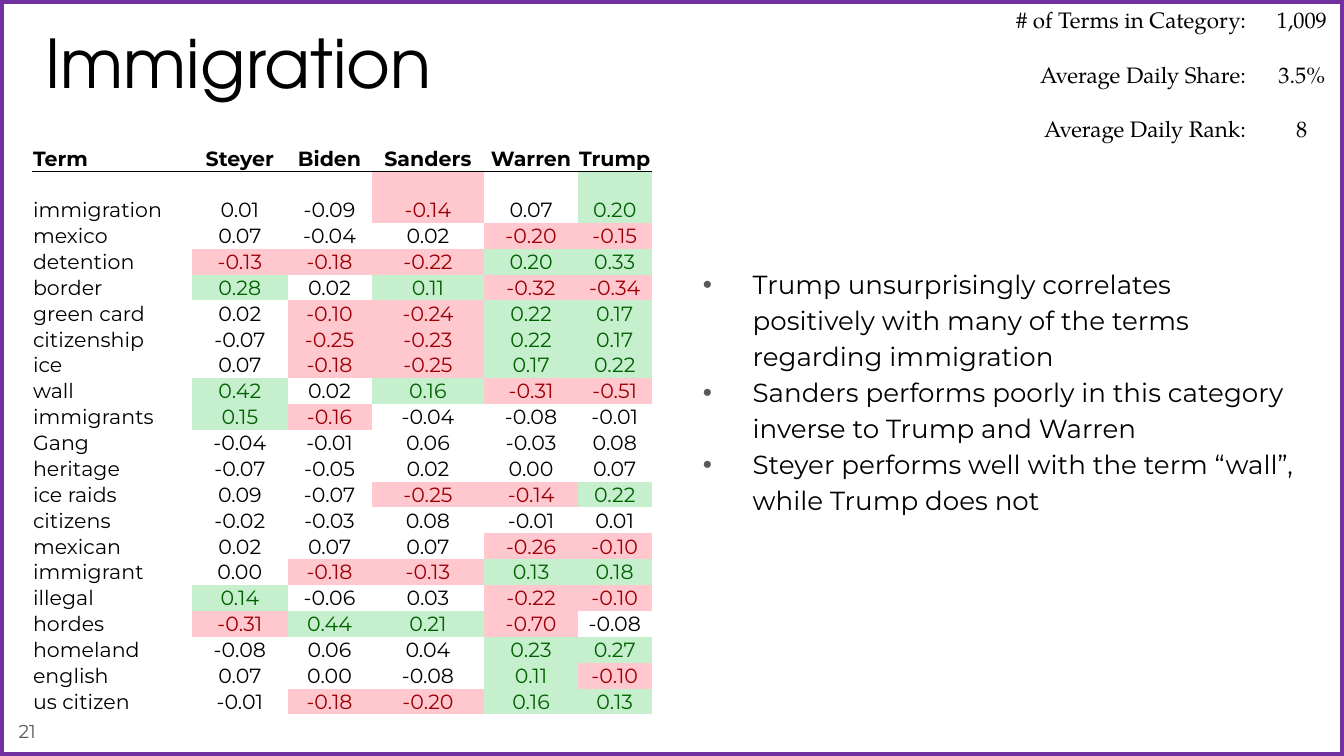
from lxml import etree
from pptx import Presentation
from pptx.dml.color import RGBColor
from pptx.enum.shapes import MSO_SHAPE
from pptx.enum.text import MSO_ANCHOR, MSO_AUTO_SIZE, PP_ALIGN
from pptx.oxml import parse_xml
from pptx.oxml.ns import nsdecls, qn
from pptx.util import Inches, Pt

SANS, SERIF, DISPLAY = "Montserrat", "TeX Gyre Pagella", "TeX Gyre Adventor"
BLACK, GREY, PURPLE = "000000", "595959", "7030A0"
RED, PINK, GREEN, MINT = "9C0006", "FFC7CE", "006100", "C6EFCE"
NO_STYLE = "{2D5ABB26-0587-4C30-8999-92F81FD0307C}"

# Widescreen slide, 16:9
prs = Presentation()
prs.slide_width, prs.slide_height = Inches(10), Inches(10) * 9 // 16
s = prs.slides.add_slide(prs.slide_layouts[1])


def box(x, y, w, h):
    """Percentages of the slide's width and height, as lengths."""
    return [int(v * side / 100) for v, side in
            zip((x, y, w, h), (prs.slide_width, prs.slide_height) * 2)]


def write(p, text, font, size, color=BLACK, align=PP_ALIGN.LEFT, bold=False):
    p.alignment = align
    r = p.add_run()
    r.text = text
    r.font.color.rgb = RGBColor.from_string(color)
    for name, value in {"name": font, "size": Pt(size), "bold": bold}.items():
        setattr(r.font, name, value)


# Frame around the slide, behind everything
frame = s.shapes.add_shape(MSO_SHAPE.RECTANGLE, *box(0, 0, 100, 100))
frame.shadow.inherit = False
frame.fill.background()
frame.line.color.rgb = RGBColor.from_string(PURPLE)
frame.line.width = Pt(4.5)
s.shapes._spTree.insert(2, frame._element)

# Title, body and slide number boxes
title, body = s.shapes.title, s.placeholders[1]
number = s.shapes.add_textbox(0, 0, 0, 0)
for sp, place, anchor in [
    (title, (2.4, 1.07, 93.2, 11.2), MSO_ANCHOR.TOP),
    (body, (50, 33.1, 47.6, 47.5), MSO_ANCHOR.TOP),
    (number, (0.4, 94.4, 4, 4.63), MSO_ANCHOR.MIDDLE),
]:
    sp.left, sp.top, sp.width, sp.height = box(*place)
    tf = sp.text_frame
    fmt = {"word_wrap": True, "auto_size": MSO_AUTO_SIZE.NONE, "vertical_anchor": anchor}
    fmt.update({f"margin_{side}": Inches(0.1) for side in ("left", "top", "right", "bottom")})
    for name, value in fmt.items():
        setattr(tf, name, value)

write(title.text_frame.paragraphs[0], "Immigration", DISPLAY, 36)
write(number.text_frame.paragraphs[0], "21", SANS, 10, GREY)

# Bulleted findings
findings = [
    "Trump unsurprisingly correlates positively with many of the terms regarding immigration",
    "Sanders performs poorly in this category inverse to Trump and Warren",
    "Steyer performs well with the term “wall”, while Trump does not",
]
tf = body.text_frame
for i, text in enumerate(findings):
    p = tf.add_paragraph() if i else tf.paragraphs[0]
    write(p, text, SANS, 14)
    p.line_spacing, p.space_before = 1.15, Pt(0)
    pPr = p._p.get_or_add_pPr()
    pPr.set("marL", str(Inches(0.5)))
    pPr.set("indent", str(Inches(-0.37)))
    clr = etree.SubElement(pPr, qn("a:buClr"))
    etree.SubElement(clr, qn("a:srgbClr")).set("val", GREY)
    etree.SubElement(pPr, qn("a:buChar")).set("char", "•")

# Category summary and correlations by term
summary = [
    ("# of Terms in Category:", "1,009"),
    ("Average Daily Share:", "3.5%"),
    ("Average Daily Rank:", "8"),
]
correlations = [
    ("Term", "Steyer", "Biden", "Sanders", "Warren", "Trump"),
    ("immigration", 0.01, -0.09, -0.14, 0.07, 0.20),
    ("mexico", 0.07, -0.04, 0.02, -0.20, -0.15),
    ("detention", -0.13, -0.18, -0.22, 0.20, 0.33),
    ("border", 0.28, 0.02, 0.11, -0.32, -0.34),
    ("green card", 0.02, -0.10, -0.24, 0.22, 0.17),
    ("citizenship", -0.07, -0.25, -0.23, 0.22, 0.17),
    ("ice", 0.07, -0.18, -0.25, 0.17, 0.22),
    ("wall", 0.42, 0.02, 0.16, -0.31, -0.51),
    ("immigrants", 0.15, -0.16, -0.04, -0.08, -0.01),
    ("Gang", -0.04, -0.01, 0.06, -0.03, 0.08),
    ("heritage", -0.07, -0.05, 0.02, 0.00, 0.07),
    ("ice raids", 0.09, -0.07, -0.25, -0.14, 0.22),
    ("citizens", -0.02, -0.03, 0.08, -0.01, 0.01),
    ("mexican", 0.02, 0.07, 0.07, -0.26, -0.10),
    ("immigrant", 0.00, -0.18, -0.13, 0.13, 0.18),
    ("illegal", 0.14, -0.06, 0.03, -0.22, -0.10),
    ("hordes", -0.31, 0.44, 0.21, -0.70, -0.08),
    ("homeland", -0.08, 0.06, 0.04, 0.23, 0.27),
    ("english", 0.07, 0.00, -0.08, 0.11, -0.10),
    ("us citizen", -0.01, -0.18, -0.20, 0.16, 0.13),
]
tables = []
for rows, place, widths, heights in [
    (summary, (73.85, 0.71, 26.15, 21.7), (19.88, 6.27), [1] * 3),
    (correlations, (2.4, 15.82, 46.1, 78.6), (11.9, 7.1, 6.25, 8.4, 6.95, 5.5), [2, 2] + [1] * 19),
]:
    gf = s.shapes.add_table(len(rows), len(widths), *box(*place))
    table, height = gf.table, gf.height
    table.first_row = table.horz_banding = False
    table._tbl.tblPr.find(qn("a:tableStyleId")).text = NO_STYLE
    for col, w in zip(table.columns, widths):
        col.width = int(prs.slide_width * w / 100)
    for row, h in zip(table.rows, heights):
        row.height = int(height * h / sum(heights))
    tables.append(table)
summary_table, term_table = tables

for i, row in enumerate(summary):
    for j, text in enumerate(row):
        cell = summary_table.cell(i, j)
        cell.fill.background()
        write(cell.text_frame.paragraphs[0], text, SERIF, 12,
              align=PP_ALIGN.CENTER if j else PP_ALIGN.RIGHT)

# Correlations of at least 0.10 either way are highlighted
cell_format = {"vertical_anchor": MSO_ANCHOR.BOTTOM, "margin_left": Pt(0.4),
               "margin_right": Pt(0.4), "margin_top": Pt(0.4), "margin_bottom": 0}
for i, row in enumerate(correlations):
    for j, value in enumerate(row):
        cell = term_table.cell(i, j)
        for name, setting in cell_format.items():
            setattr(cell, name, setting)
        text, color, fill = value, BLACK, None
        if i and j:
            text = f"{value:.2f}"
            if abs(value) >= 0.10:
                color, fill = (GREEN, MINT) if value > 0 else (RED, PINK)
        if fill:
            cell.fill.solid()
            cell.fill.fore_color.rgb = RGBColor.from_string(fill)
        else:
            cell.fill.background()
        write(cell.text_frame.paragraphs[0], text, SANS, 11, color,
              PP_ALIGN.CENTER if j else PP_ALIGN.LEFT, bold=i == 0)
        if i == 0:
            cell._tc.get_or_add_tcPr().insert(0, parse_xml(
                f'<a:lnB {nsdecls("a")} w="{Pt(0.5)}"><a:solidFill>'
                f'<a:srgbClr val="{BLACK}"/></a:solidFill></a:lnB>'))

prs.save("out.pptx")
